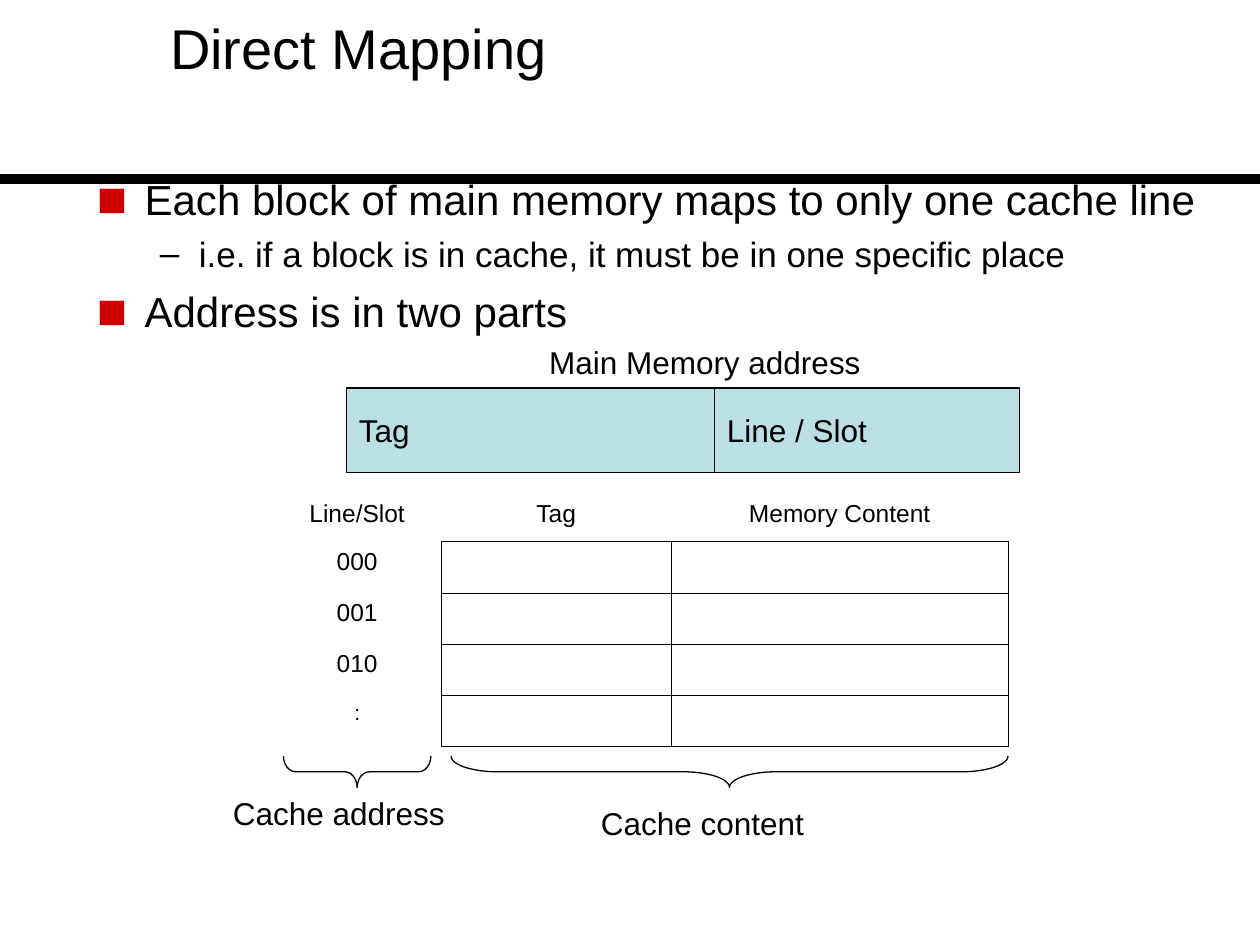
from lxml import etree
from pptx import Presentation
from pptx import util as u
from pptx.dml.color import RGBColor
from pptx.enum import shapes, text
from pptx.oxml.ns import qn

BLACK, TEAL, RED = "000000", "BBE0E3", "CC0000"


def color(hex_code):
    return RGBColor.from_string(hex_code)


def add_xml(parent, tag, **attributes):
    return etree.SubElement(parent, qn(tag), attributes)


def add_bullet(para, symbol, hex_code, percent, margin, hanging):
    props = para._p.get_or_add_pPr()
    props.set("marL", str(u.Inches(margin)))
    props.set("indent", str(-u.Inches(hanging)))
    add_xml(add_xml(props, "a:buClr"), "a:srgbClr", val=hex_code)
    add_xml(props, "a:buSzPct", val=str(percent * 1000))
    add_xml(props, "a:buFont", typeface="Arial")
    add_xml(props, "a:buChar", char=symbol)


def write(frame, words, size=18, align=text.PP_ALIGN.LEFT, before=0, bullet=None, level=0):
    """Put words in the first paragraph if it is empty, else in a new one."""
    para = frame.paragraphs[0]
    if para.runs:
        para = frame.add_paragraph()
        para.space_before = u.Pt(before)
    para.level = level
    para.alignment = align
    if bullet:
        add_bullet(para, *bullet)
    span = para.add_run()
    span.text = words
    span.font.name = "Arial"
    span.font.size = u.Pt(size)
    span.font.bold = False
    span.font.color.rgb = color(BLACK)


def set_borders(cell, sides):
    props = cell._tc.get_or_add_tcPr()
    for side in "LRTB":
        line = add_xml(props, f"a:ln{side}", w=str(u.Pt(0.45)))
        if side in sides:
            add_xml(add_xml(line, "a:solidFill"), "a:srgbClr", val=BLACK)
        else:
            add_xml(line, "a:noFill")


class SlideBuilder:
    def __init__(self, page, line_width=0.75):
        self.page = page
        self.line_width = line_width

    def outline(self, shape, width=None):
        shape.line.color.rgb = color(BLACK)
        shape.line.width = u.Pt(width or self.line_width)

    def title(self, words, *place):
        title = self.page.shapes.title
        title.left, title.top, title.width, title.height = map(u.Inches, place)
        title.text_frame.vertical_anchor = text.MSO_ANCHOR.MIDDLE
        write(title.text_frame, words, size=32)

    def text_box(self, *place, wrap=True):
        frame = self.page.shapes.add_textbox(*map(u.Inches, place)).text_frame
        frame.word_wrap = wrap
        return frame

    def shape(self, kind, *place):
        shape = self.page.shapes.add_shape(kind, *map(u.Inches, place))
        shape.shadow.inherit = False
        self.outline(shape)
        return shape

    def field(self, words, *place):
        box = self.shape(shapes.MSO_SHAPE.RECTANGLE, *place)
        box.fill.solid()
        box.fill.fore_color.rgb = color(TEAL)
        box.text_frame.word_wrap = False
        box.text_frame.vertical_anchor = text.MSO_ANCHOR.MIDDLE
        write(box.text_frame, words)

    def brace_below(self, left, top, length, depth=0.25):
        """Draw a brace that lies flat with its point down."""
        offset = (length - depth) / 2
        brace = self.shape(shapes.MSO_SHAPE.LEFT_BRACE,
                           left + offset, top - offset, depth, length)
        brace.rotation = 270
        brace.fill.background()
        brace.adjustments[0] = length / 12 / depth

    def rule(self, top, width):
        line = self.page.shapes.add_connector(
            shapes.MSO_CONNECTOR.STRAIGHT, 0, u.Inches(top), u.Inches(10), u.Inches(top))
        self.outline(line, width)
        add_xml(line._element.spPr, "a:effectLst")

    def cache_table(self, headings, slots, left, top, widths, heights):
        table = self.page.shapes.add_table(
            len(heights), len(widths), u.Inches(left), u.Inches(top),
            u.Inches(sum(widths)), u.Inches(sum(heights))).table
        table.first_row = table.horz_banding = False
        for column, width in zip(table.columns, widths):
            column.width = u.Inches(width)
        for row, height in zip(table.rows, heights):
            row.height = u.Inches(height)
        rows = [headings] + [[slot, "", ""] for slot in slots]
        for r, row in enumerate(rows):
            for c, words in enumerate(row):
                cell = table.cell(r, c)
                if r and c:
                    sides = "LRTB"
                elif r:
                    sides = "R"
                else:
                    sides = "B" if c else ""
                set_borders(cell, sides)
                cell.fill.background()
                if words:
                    write(cell.text_frame, words, size=12 if words == ":" else 14,
                          align=text.PP_ALIGN.CENTER)
                    cell.text_frame.paragraphs[0].space_before = u.Pt(0)


def main():
    deck = Presentation()
    deck.slide_width, deck.slide_height = u.Inches(10), u.Inches(7.5)
    builder = SlideBuilder(deck.slides.add_slide(deck.slide_layouts[5]))

    builder.title("Direct Mapping", 1.25, -0.25, 9, 1.25)
    builder.field("Tag", 2.75, 3.08, 2.92, 0.67)
    builder.field("Line / Slot", 5.67, 3.08, 2.42, 0.67)
    builder.rule(1.42, 6)
    builder.cache_table(["Line/Slot", "Tag", "Memory Content"], ["000", "001", "010", ":"],
                        2.17, 3.92, [1.33, 1.83, 2.67], [0.38] + [0.4] * 4)
    builder.brace_below(2.25, 6, 1.17)
    builder.brace_below(3.58, 6, 4.42)

    write(builder.text_box(4.26, 2.67, 2.67, 0.4, wrap=False), "Main Memory address")
    write(builder.text_box(1.75, 6.25, 2.42, 0.4), "Cache address")
    write(builder.text_box(4.67, 6.33, 2.55, 0.4), "Cache content")

    square = ("■", RED, 120, 0.38, 0.38)
    dash = ("–", BLACK, 100, 0.81, 0.31)
    points = builder.text_box(0.67, 1.33, 9, 1.58)
    write(points, "Each block of main memory maps to only one cache line", size=24, bullet=square)
    write(points, "i.e. if a block is in cache, it must be in one specific place",
          size=20, before=5, bullet=dash, level=1)
    write(points, "Address is in two parts", size=24, before=6, bullet=square)

    deck.save("out.pptx")


if __name__ == "__main__":
    main()
